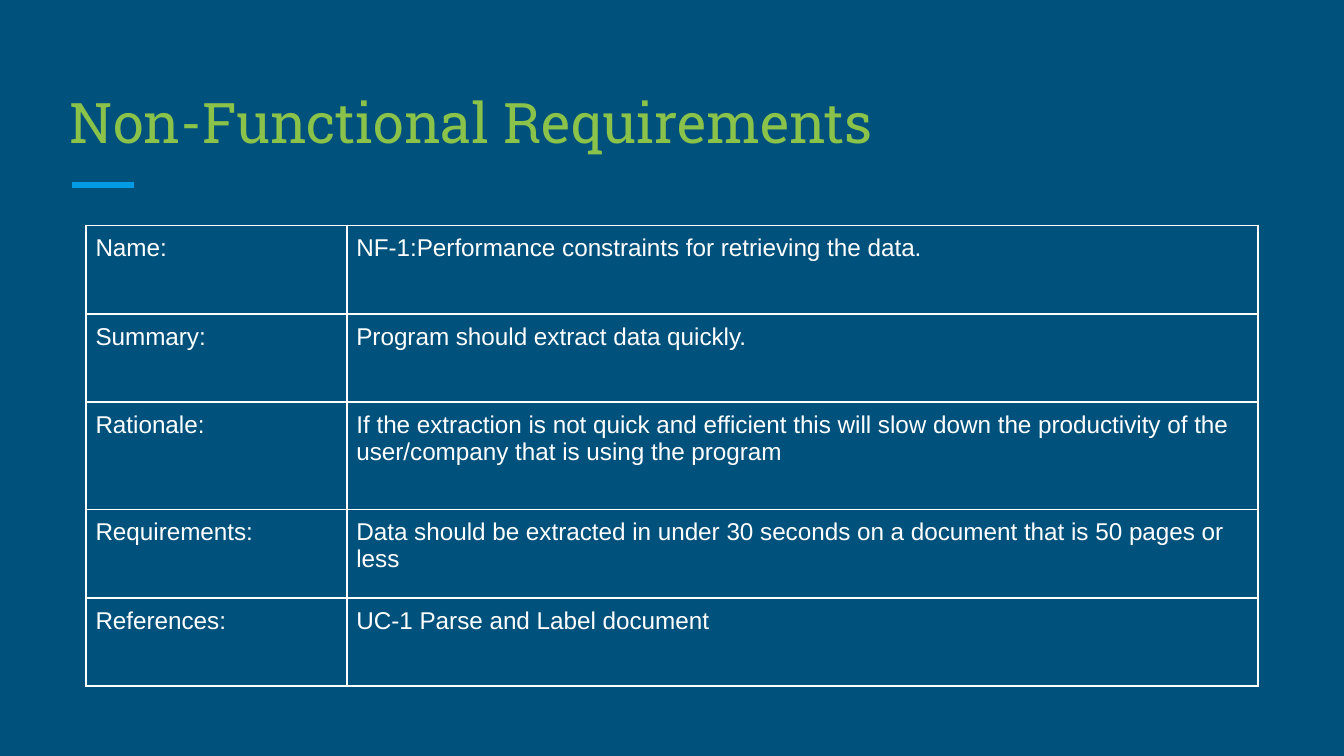
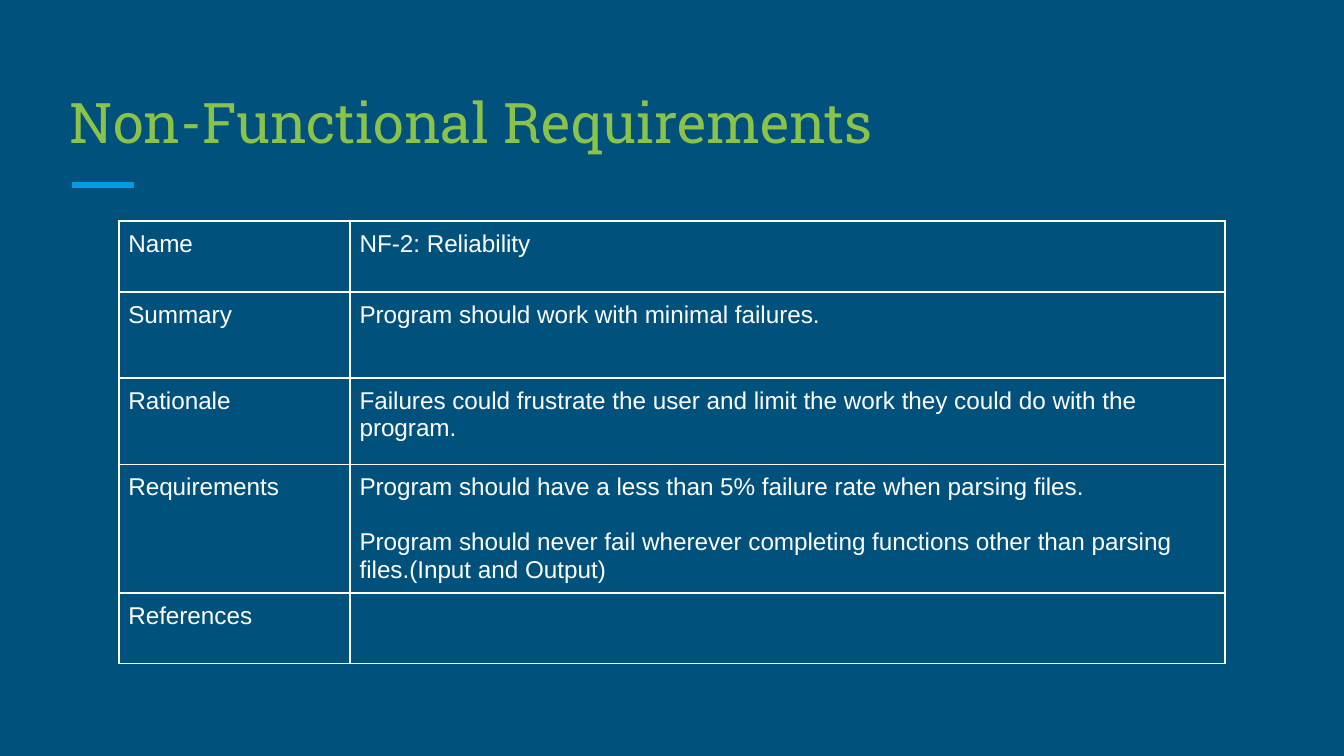
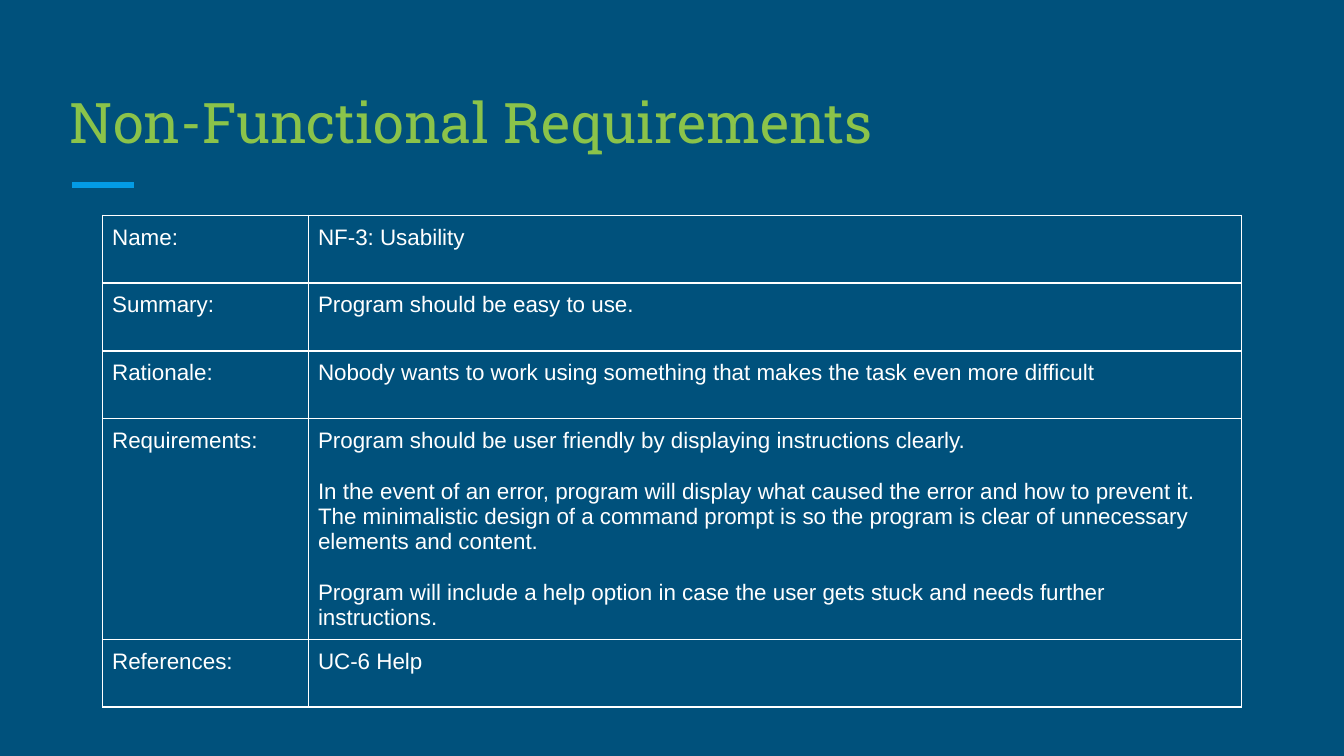
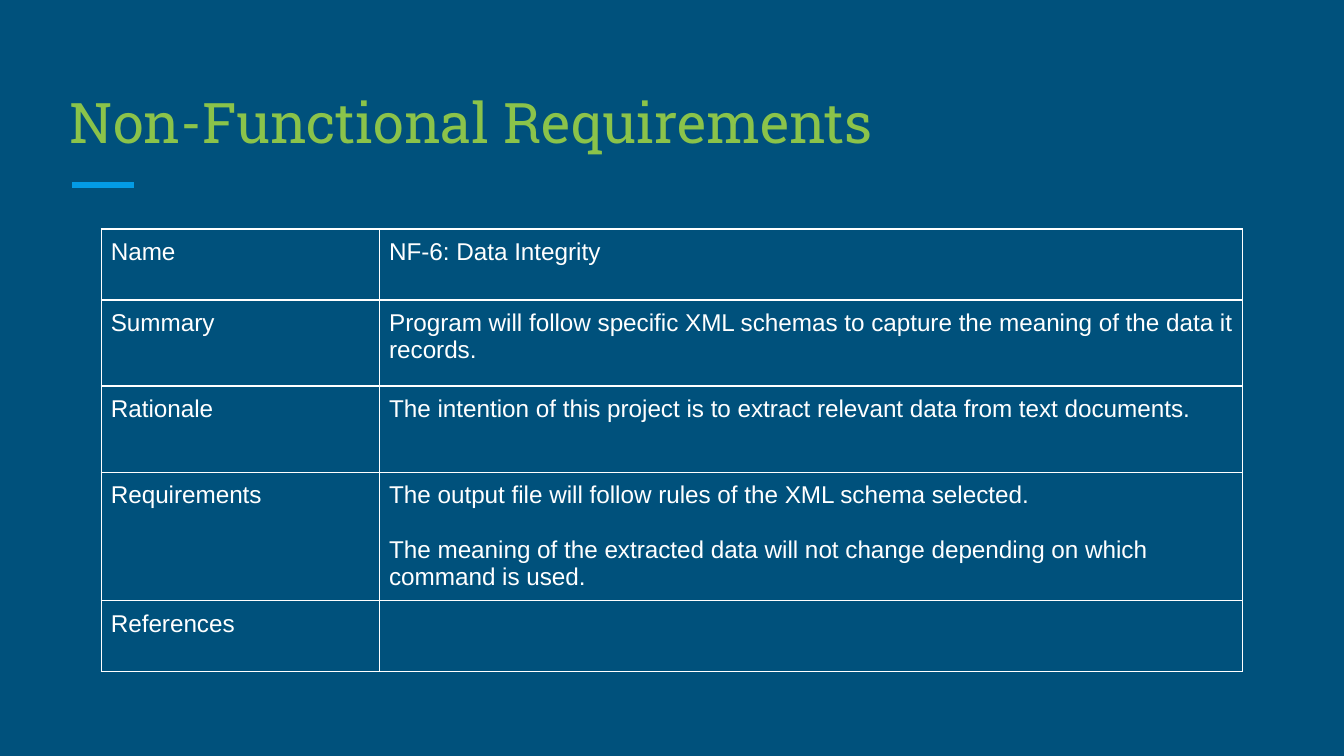
from dataclasses import dataclass

from lxml import etree
from pptx import Presentation
from pptx.dml.color import RGBColor
from pptx.enum.shapes import MSO_CONNECTOR
from pptx.enum.text import MSO_ANCHOR, MSO_AUTO_SIZE, PP_ALIGN
from pptx.oxml.ns import qn
from pptx.util import Cm, Pt

STRAIGHT = MSO_CONNECTOR.STRAIGHT
BOTTOM = MSO_ANCHOR.BOTTOM
TOP = MSO_ANCHOR.TOP
NO_AUTOFIT = MSO_AUTO_SIZE.NONE
LEFT = PP_ALIGN.LEFT

SLIDE_WIDTH = Cm(25.4)
SLIDE_HEIGHT = Cm(14.29)
TITLE_ONLY_LAYOUT = 5
TITLE = "Non-Functional Requirements"
LABELS = ("Name", "Summary", "Rationale", "Requirements", "References")


@dataclass(frozen=True)
class Theme:
    background: str = "00517C"
    title_color: str = "8BC34A"
    accent: str = "039BE5"
    text_color: str = "FFFFFF"
    border_color: str = "FFFFFF"
    title_font: str = "Roboto Slab"
    body_font: str = "Arial"
    title_size: float = 30
    body_size: float = 13
    dense_size: float = 12
    line_height: float = 1.15
    accent_width: float = 3
    border_width: float = 1


@dataclass(frozen=True)
class Requirement:
    top: float
    columns: tuple
    rows: tuple
    values: tuple
    size: float
    label_suffix: str = ""


class Deck:
    def __init__(self, theme):
        self.theme = theme
        self.presentation = Presentation()
        self.presentation.slide_width = SLIDE_WIDTH
        self.presentation.slide_height = SLIDE_HEIGHT
        fill = self.presentation.slide_master.background.fill
        fill.solid()
        fill.fore_color.rgb = RGBColor.from_string(theme.background)
        self.slide = None

    def add_slide(self, title):
        layout = self.presentation.slide_layouts[TITLE_ONLY_LAYOUT]
        self.slide = self.presentation.slides.add_slide(layout)
        self.add_accent_line()
        self.set_title(title)

    def add_accent_line(self):
        line = self.slide.shapes.add_connector(
            STRAIGHT, Cm(1.37), Cm(3.5), Cm(2.54), Cm(3.5)
        )
        line.line.color.rgb = RGBColor.from_string(self.theme.accent)
        line.line.width = Pt(self.theme.accent_width)
        etree.SubElement(line._element.spPr, qn("a:effectLst"))

    def set_title(self, text):
        shape = self.slide.shapes.title
        shape.left, shape.top = Cm(1.07), Cm(1.27)
        shape.width, shape.height = Cm(23.24), Cm(1.9)
        frame = shape.text_frame
        frame.word_wrap = True
        frame.auto_size = NO_AUTOFIT
        frame.vertical_anchor = BOTTOM
        frame.margin_left = frame.margin_right = Cm(0.25)
        frame.margin_top = frame.margin_bottom = Cm(0.25)
        paragraph = frame.paragraphs[0]
        paragraph.alignment = LEFT
        self.add_run(paragraph, text, self.theme.title_font,
                     self.theme.title_size, self.theme.title_color)

    def add_run(self, paragraph, text, font_name, size, color):
        run = paragraph.add_run()
        run.text = text
        run.font.name = font_name
        run.font.size = Pt(size)
        run.font.color.rgb = RGBColor.from_string(color)

    def add_requirement_table(self, requirement):
        width = Cm(sum(requirement.columns))
        frame = self.slide.shapes.add_table(
            len(requirement.rows), len(requirement.columns),
            (SLIDE_WIDTH - width) // 2, Cm(requirement.top),
            width, Cm(sum(requirement.rows)),
        )
        table = frame.table
        table.first_row = False
        table.horz_banding = False
        for column, column_width in zip(table.columns, requirement.columns):
            column.width = Cm(column_width)
        for row, row_height in zip(table.rows, requirement.rows):
            row.height = Cm(row_height)
        for row, label, groups in zip(table.rows, LABELS, requirement.values):
            label_cell, value_cell = row.cells
            self.fill_cell(label_cell, (label + requirement.label_suffix,),
                           requirement.size)
            self.fill_cell(value_cell, groups, requirement.size)

    def fill_cell(self, cell, groups, size):
        cell.fill.background()
        cell.vertical_anchor = TOP
        cell.margin_left = cell.margin_right = Cm(0.18)
        cell.margin_top = cell.margin_bottom = Cm(0.18)
        self.set_borders(cell)
        paragraph = cell.text_frame.paragraphs[0]
        paragraph.font.size = Pt(size)
        for group_index, group in enumerate(groups):
            for line_index, text in enumerate(group.split("\n")):
                if group_index or line_index:
                    paragraph = cell.text_frame.add_paragraph()
                if group_index and not line_index:
                    paragraph.space_before = Pt(size * self.theme.line_height)
                self.add_run(paragraph, text, self.theme.body_font, size,
                             self.theme.text_color)

    def set_borders(self, cell):
        properties = cell._tc.get_or_add_tcPr()
        for index, side in enumerate(("a:lnL", "a:lnR", "a:lnT", "a:lnB")):
            border = etree.Element(qn(side), w=str(Pt(self.theme.border_width)))
            fill = etree.SubElement(border, qn("a:solidFill"))
            etree.SubElement(fill, qn("a:srgbClr"), val=self.theme.border_color)
            properties.insert(index, border)


THEME = Theme()

REQUIREMENTS = (
    Requirement(
        top=4.26,
        columns=(4.93, 17.22),
        rows=(1.67, 1.67, 2.03, 1.67, 1.67),
        size=THEME.body_size,
        label_suffix=":",
        values=(
            ("NF-1:Performance constraints for retrieving the data.",),
            ("Program should extract data quickly.",),
            ("If the extraction is not quick and efficient this will slow down "
             "the productivity of the user/company that is using the program",),
            ("Data should be extracted in under 30 seconds on a document "
             "that is 50 pages or less",),
            ("UC-1 Parse and Label document",),
        ),
    ),
    Requirement(
        top=4.18,
        columns=(4.37, 16.54),
        rows=(1.34, 1.63, 1.63, 2.4, 1.34),
        size=THEME.body_size,
        values=(
            ("NF-2: Reliability",),
            ("Program should work with minimal failures.",),
            ("Failures could frustrate the user and limit the work they could "
             "do with the program.",),
            ("Program should have a less than 5% failure rate when parsing files.",
             "Program should never fail wherever completing functions other than "
             "parsing files.(Input and Output)"),
            (),
        ),
    ),
    Requirement(
        top=4.07,
        columns=(3.89, 17.63),
        rows=(1.28, 1.28, 1.28, 3.89, 1.28),
        size=THEME.dense_size,
        label_suffix=":",
        values=(
            ("NF-3: Usability",),
            ("Program should be easy to use.",),
            ("Nobody wants to work using something that makes the task even "
             "more difficult",),
            ("Program should be user friendly by displaying instructions clearly.",
             "In the event of an error, program will display what caused the "
             "error and how to prevent it.\n"
             "The minimalistic design of a command prompt is so the program is "
             "clear of unnecessary elements and content.",
             "Program will include a help option in case the user gets stuck and "
             "needs further instructions."),
            ("UC-6 Help",),
        ),
    ),
    Requirement(
        top=4.33,
        columns=(5.26, 16.31),
        rows=(1.34, 1.63, 1.63, 2.4, 1.34),
        size=THEME.body_size,
        values=(
            ("NF-6: Data Integrity",),
            ("Program will follow specific XML schemas to capture the meaning "
             "of the data it records.",),
            ("The intention of this project is to extract relevant data from "
             "text documents.",),
            ("The output file will follow rules of the XML schema selected.",
             "The meaning of the extracted data will not change depending on "
             "which command is used."),
            (),
        ),
    ),
)


def main():
    deck = Deck(THEME)
    for requirement in REQUIREMENTS:
        deck.add_slide(TITLE)
        deck.add_requirement_table(requirement)
    deck.presentation.save("out.pptx")


if __name__ == "__main__":
    main()
